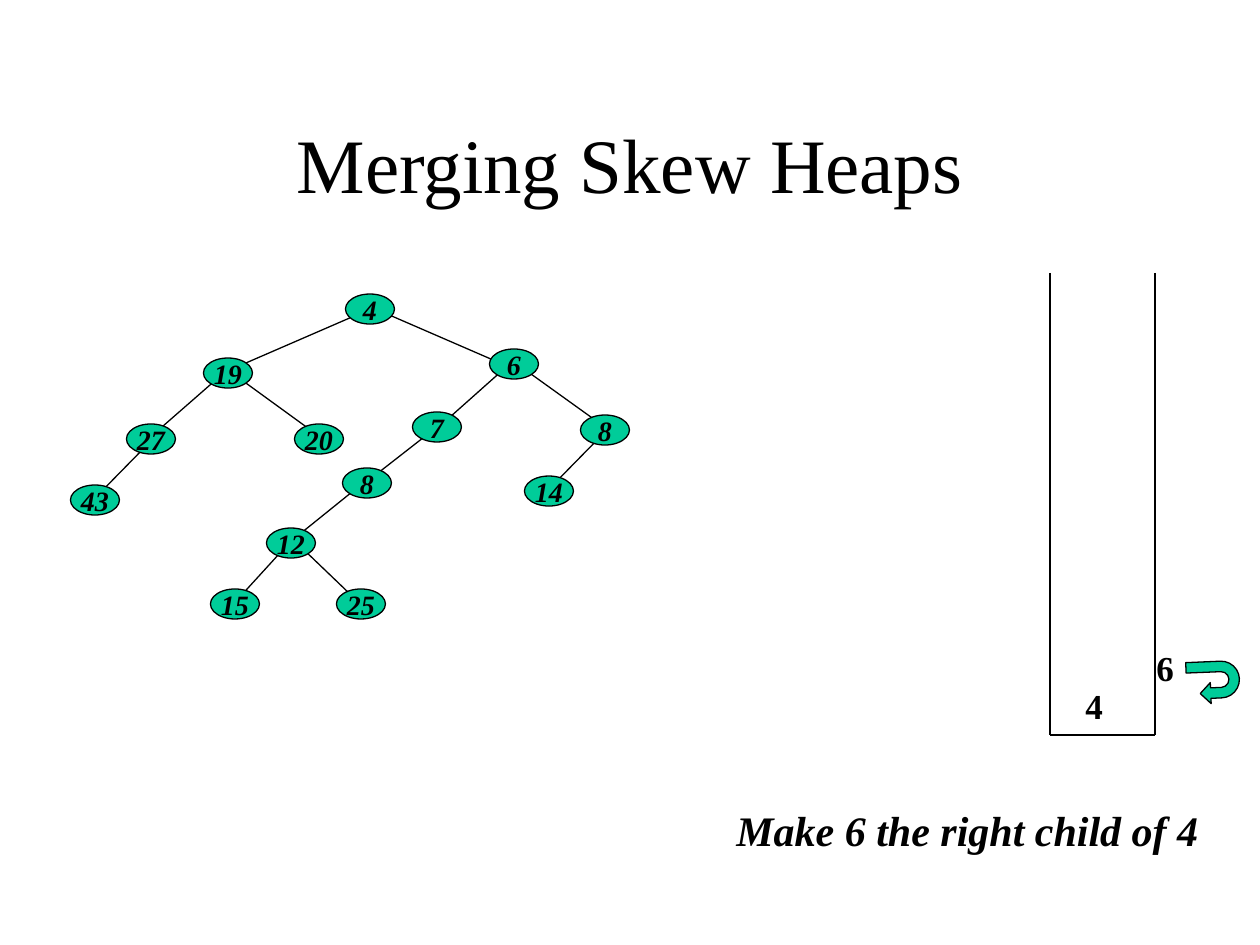
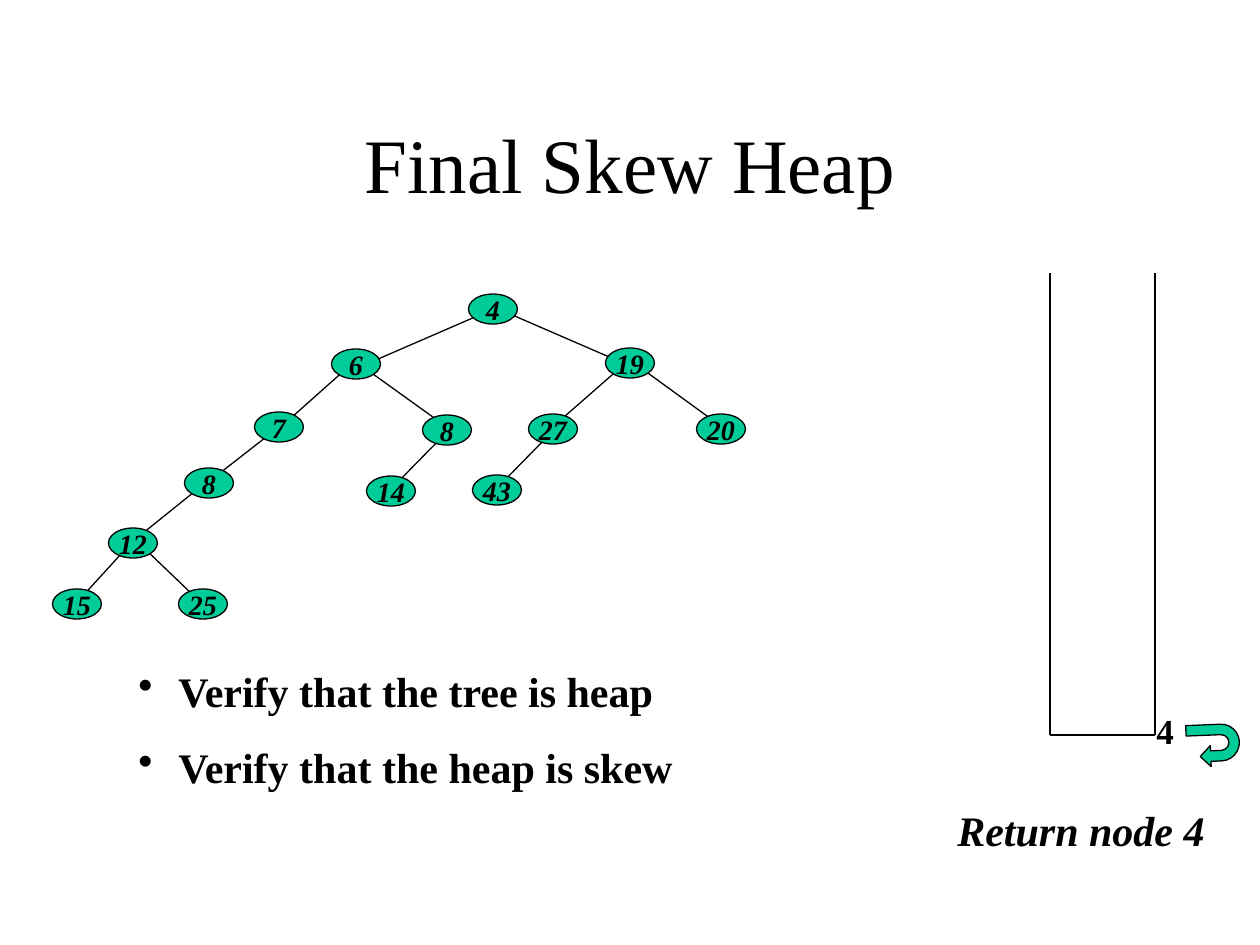
from dataclasses import dataclass

from lxml import etree
from pptx import Presentation
from pptx.dml.color import RGBColor
from pptx.enum.shapes import MSO_CONNECTOR, MSO_SHAPE
from pptx.enum.text import MSO_ANCHOR, PP_ALIGN
from pptx.oxml.ns import qn
from pptx.util import Pt

STRAIGHT = MSO_CONNECTOR.STRAIGHT
OVAL, UTURN = MSO_SHAPE.OVAL, MSO_SHAPE.U_TURN_ARROW
TOP, MIDDLE = MSO_ANCHOR.TOP, MSO_ANCHOR.MIDDLE
LEFT, CENTER = PP_ALIGN.LEFT, PP_ALIGN.CENTER
SCALE = 914400 / 126  # EMU in one px

Point = tuple[int, int]
Box = tuple[int, int, int, int]


@dataclass(frozen=True)
class Theme:
    font: str = "Times New Roman"
    ink: RGBColor = RGBColor(0, 0, 0)
    node: RGBColor = RGBColor(0, 204, 153)
    line: float = 0.75
    title: int = 44
    body: int = 24
    stack: int = 20
    label: int = 16


@dataclass(frozen=True)
class Node:
    """A tree node; place is from the root, start and end from the centres."""
    label: str
    place: Point = (0, 0)
    parent: int = 0
    start: Point = (-10, 5)
    end: Point = (3, -5)


@dataclass(frozen=True)
class Page:
    title: str
    note: str
    note_box: Box
    root: Point
    trees: tuple[tuple[tuple[Node, ...], Point], ...]
    call: str
    call_top: int
    stack: str = ""
    checks: tuple[str, ...] = ()


THEME = Theme()
NODE_W, NODE_H = 49, 30
BULLET = 40
TITLE_BOX = (94, 84, 1072, 158)
STACK_BOX = (1073, 678, 50, 56)
CHECK_BOX = (126, 659, 599, 140)
WALL_L, WALL_R, WALL_T, FLOOR = 1050, 1155, 273, 735

SIX = (
    Node("6"),
    Node("7", (-77, 63), 0, end=(3, -1)),
    Node("8", (-147, 119), 1, (0, 0), (11, -10)),
    Node("12", (-223, 179), 2, end=(4, -5)),
    Node("15", (-279, 240), 3, (-11, 10)),
    Node("25", (-153, 240), 3, (11, 5), (-11, -10)),
    Node("8", (91, 66), 0, (10, 5), (-3, -5)),
    Node("14", (35, 127), 6, (-3, 5)),
)
NINETEEN = (
    Node("19"),
    Node("27", (-77, 66)),
    Node("20", (91, 66), 0, (11, 5), (-3, -5)),
    Node("43", (-133, 127), 1, (-3, 5)),
)
PAGES = (
    Page("Merging Skew Heaps", "Make 6 the right child of 4",
         (724, 798, 500, 63), (370, 309),
         ((NINETEEN, (228, 373)), (SIX, (514, 364))),
         call="6", call_top=640, stack="4"),
    Page("Final Skew Heap", "Return node 4",
         (945, 798, 280, 63), (493, 309),
         ((SIX, (356, 364)), (NINETEEN, (630, 363))),
         call="4", call_top=703,
         checks=("Verify that the tree is heap", "Verify that the heap is skew")),
)


def px(*values: float) -> list[int]:
    return [round(value * SCALE) for value in values]


def add(base: Point, step: Point) -> Point:
    return base[0] + step[0], base[1] + step[1]


def write(frame, *lines: str, size: int, bold=False, italic=False,
          align=LEFT, anchor=TOP, wrap=True, gap=0, bullet=False) -> None:
    frame.word_wrap = wrap
    frame.vertical_anchor = anchor
    for index, line in enumerate(lines):
        para = frame.add_paragraph() if index else frame.paragraphs[0]
        para.alignment = align
        if index:
            para.space_before = Pt(gap)
        if bullet:
            props = para._p.get_or_add_pPr()
            indent = px(BULLET)[0]
            props.set("marL", str(indent))
            props.set("indent", str(-indent))
            etree.SubElement(props, qn("a:buChar")).set("char", "•")
        run = para.add_run()
        run.text = line
        font = run.font
        font.name, font.size = THEME.font, Pt(size)
        font.bold, font.italic = bold, italic
        font.color.rgb = THEME.ink


def label(slide, box: Box, *lines: str, **style) -> None:
    write(slide.shapes.add_textbox(*px(*box)).text_frame, *lines, **style)


def rule(slide, start: Point, end: Point) -> None:
    line = slide.shapes.add_connector(STRAIGHT, *px(*start, *end))
    line.line.color.rgb = THEME.ink
    line.line.width = Pt(THEME.line)
    etree.SubElement(line._element.spPr, qn("a:effectLst"))


def solid(slide, kind, box: Box):
    """Add a green shape with a thin outline."""
    shape = slide.shapes.add_shape(kind, *px(*box))
    shape.shadow.inherit = False
    shape.fill.solid()
    shape.fill.fore_color.rgb = THEME.node
    shape.line.color.rgb = THEME.ink
    shape.line.width = Pt(THEME.line)
    return shape


def oval(slide, text: str, mid: Point) -> None:
    box = (mid[0] - NODE_W / 2, mid[1] - NODE_H / 2, NODE_W, NODE_H)
    write(solid(slide, OVAL, box).text_frame, text, size=THEME.label, bold=True,
          italic=True, align=CENTER, anchor=MIDDLE, wrap=False)


def tree(slide, nodes: tuple[Node, ...], root: Point) -> None:
    """Draw the edges first, so that the nodes cover their ends."""
    mids = [add(root, node.place) for node in nodes]
    for node, mid in list(zip(nodes, mids))[1:]:
        rule(slide, add(mids[node.parent], node.start), add(mid, node.end))
    for node, mid in zip(nodes, mids):
        oval(slide, node.label, mid)


def heap(slide, page: Page) -> None:
    """Draw the root 4 and the two trees below it."""
    for start, width in (((-11, 5), -120), ((17, 5), 120)):
        point = add(page.root, start)
        rule(slide, point, add(point, (width, 52)))
    oval(slide, "4", page.root)
    for nodes, root in page.trees:
        tree(slide, nodes, root)


def stack(slide, page: Page) -> None:
    """Draw the call stack, its content and the call that returns."""
    for wall in (WALL_L, WALL_R):
        rule(slide, (wall, WALL_T), (wall, FLOOR))
    rule(slide, (WALL_L, FLOOR), (WALL_R, FLOOR))
    if page.stack:
        label(slide, STACK_BOX, page.stack, size=THEME.stack, bold=True)
    solid(slide, UTURN, (1192, page.call_top + 16, 42, 53)).rotation = 87.6
    label(slide, (1144, page.call_top, 42, 56), page.call,
          size=THEME.stack, bold=True, align=CENTER)


def main() -> None:
    deck = Presentation()
    deck.slide_width, deck.slide_height = px(1260, 945)
    for page in PAGES:
        slide = deck.slides.add_slide(deck.slide_layouts[6])
        label(slide, TITLE_BOX, page.title, size=THEME.title,
              align=CENTER, anchor=MIDDLE)
        label(slide, page.note_box, page.note, size=THEME.body,
              bold=True, italic=True)
        stack(slide, page)
        if page.checks:
            label(slide, CHECK_BOX, *page.checks, size=THEME.body,
                  bold=True, gap=15, bullet=True)
        heap(slide, page)
    deck.save("out.pptx")


if __name__ == "__main__":
    main()
